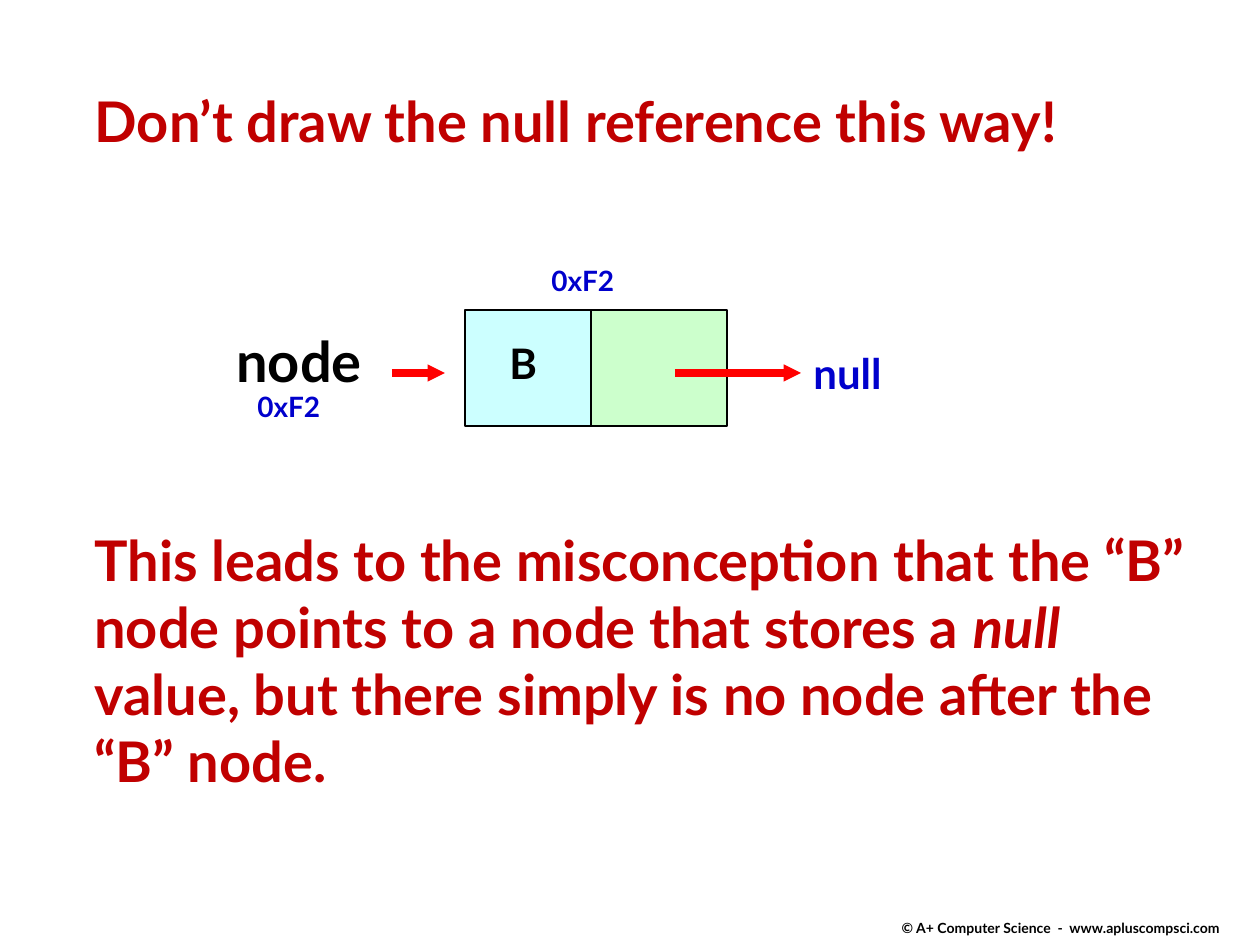
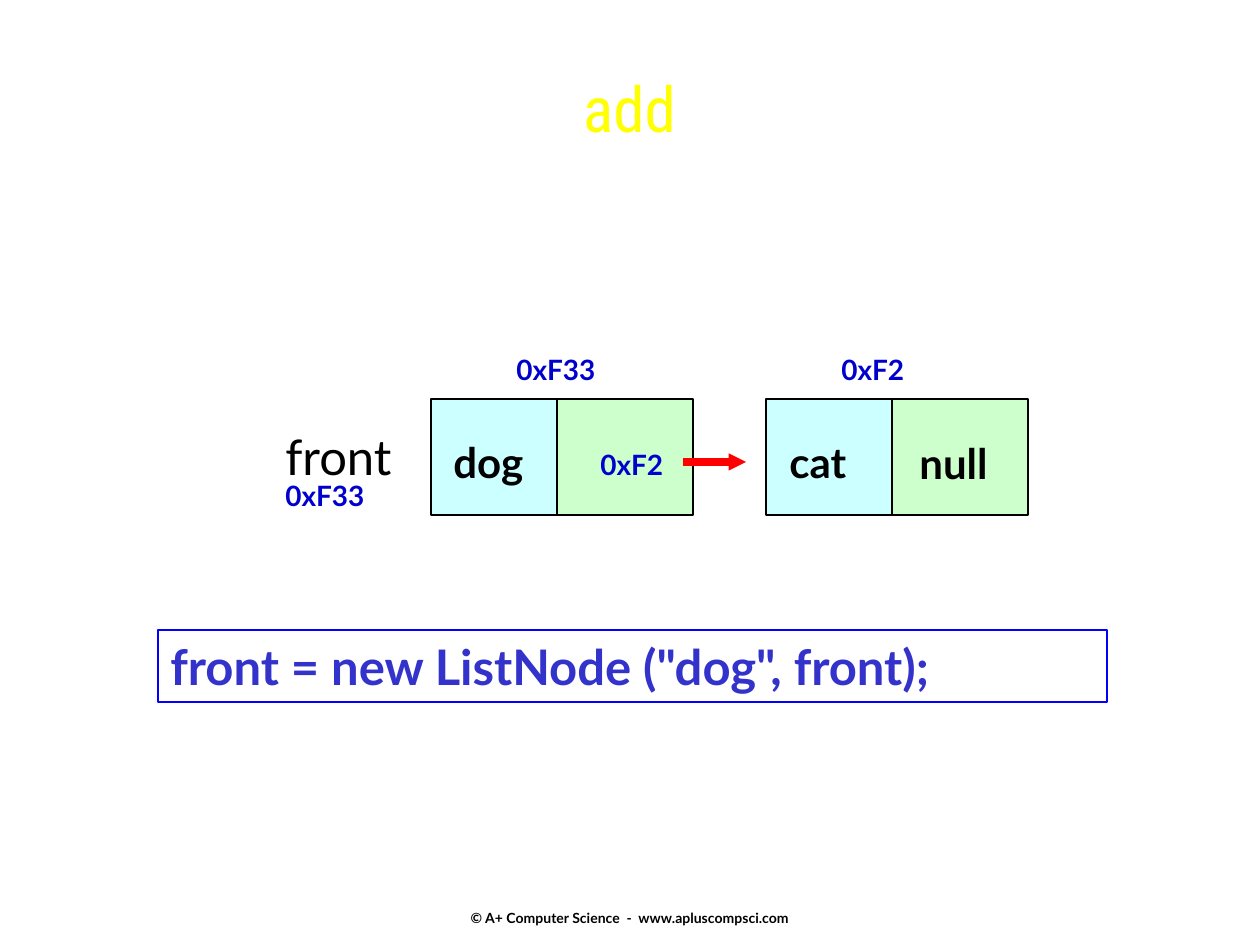
from dataclasses import dataclass

from lxml.etree import SubElement
from pptx import Presentation
from pptx.dml.color import RGBColor
from pptx.enum.shapes import MSO_CONNECTOR, MSO_SHAPE
from pptx.enum.text import MSO_ANCHOR, MSO_AUTO_SIZE, PP_ALIGN
from pptx.oxml.ns import qn
from pptx.util import Emu, Pt


@dataclass(frozen=True)
class Style:
    size: int
    color: str
    bold: bool = True
    font: str = "Lato"
    align: PP_ALIGN = PP_ALIGN.LEFT


@dataclass(frozen=True)
class Theme:
    background: str = "FFFFFF"
    value_fill: str = "CCFFFF"
    link_fill: str = "CCFFCC"
    outline: str = "000000"
    arrow: str = "FF0000"
    code_outline: str = "0000FF"
    outline_pt: int = 1
    arrow_pt: int = 5
    heading: Style = Style(32, "C00000")
    method: Style = Style(36, "FFFF00", False, "Roboto Condensed", PP_ALIGN.CENTER)
    value: Style = Style(24, "000000")
    null: Style = Style(24, "0000CC")
    address: Style = Style(16, "0000CC")
    variable: Style = Style(32, "000000")
    plain_variable: Style = Style(28, "000000", False)
    code: Style = Style(28, "3333CC")
    footer: Style = Style(8, "000000", align=PP_ALIGN.CENTER)


THEME = Theme()
PX_PER_INCH = 126
SLIDE_W, SLIDE_H = 1260, 945
NODE_W, NODE_H, VALUE_W = 262, 116, 126
FOOTER = "© A+ Computer Science  -  www.apluscompsci.com"
FOOTER_W, FOOTER_H = 400, 30

# Text boxes are (runs, style, (left, top, width, height)); a run is (text, italic).
# Labels are (text, style, left, top, width); arrows are (start x, end x, y).
SLIDES = [
    dict(
        title=("Don’t draw the null reference this way!", THEME.heading, (82, 80, 1149, 81)),
        nodes=[(465, 310)],
        arrows=[(392, 445, 373), (675, 801, 373)],
        labels=[
            ("B", THEME.value, 497, 331, 116),
            ("null", THEME.null, 801, 341, 136),
            ("node", THEME.variable, 224, 320, 179),
            ("0xF2", THEME.address, 245, 383, 136),
            ("0xF2", THEME.address, 539, 257, 136),
        ],
        body=(
            [
                ("This leads to the misconception that the “B” node points "
                 "to a node that stores a ", False),
                ("null", True),
                (" value, but there simply is no node after the “B” node.", False),
            ],
            THEME.heading,
            (82, 519, 1121, 285),
        ),
        footer=(861, 913),
    ),
    dict(
        title=("add", THEME.method, (178, 63, 903, 147)),
        nodes=[(431, 399), (766, 399)],
        arrows=[(683, 746, 462)],
        labels=[
            ("cat", THEME.value, 777, 430, 116),
            ("dog", THEME.value, 441, 430, 116),
            ("null", THEME.value, 907, 431, 136),
            ("front", THEME.plain_variable, 273, 420, 136),
            ("0xF2", THEME.address, 829, 346, 136),
            ("0xF2", THEME.address, 588, 441, 136),
            ("0xF33", THEME.address, 273, 472, 136),
            ("0xF33", THEME.address, 504, 346, 136),
        ],
        code=('front = new ListNode ("dog", front);', THEME.code, (158, 630, 949, 72)),
        footer=(430, 903),
    ),
]


def px(n):
    return Emu(round(n * 914400 / PX_PER_INCH))


def rgb(color):
    return RGBColor.from_string(color)


def write(shape, runs, style):
    tf = shape.text_frame
    tf.auto_size = MSO_AUTO_SIZE.NONE
    tf.word_wrap = True
    tf.vertical_anchor = MSO_ANCHOR.TOP
    p = tf.paragraphs[0]
    p.alignment = style.align
    for text, italic in runs:
        r = p.add_run()
        r.text = text
        r.font.name = style.font
        r.font.size = Pt(style.size)
        r.font.bold = style.bold
        r.font.italic = italic
        r.font.color.rgb = rgb(style.color)


def add_text(s, runs, style, box):
    write(s.shapes.add_textbox(*map(px, box)), runs, style)


def add_title(s, text, style, box):
    title = s.shapes.title
    title.left, title.top, title.width, title.height = map(px, box)
    write(title, [(text, False)], style)


def add_box(s, box, outline, fill=None):
    shape = s.shapes.add_shape(MSO_SHAPE.RECTANGLE, *map(px, box))
    shape.shadow.inherit = False
    if fill:
        shape.fill.solid()
        shape.fill.fore_color.rgb = rgb(fill)
    else:
        shape.fill.background()
    shape.line.color.rgb = rgb(outline)
    shape.line.width = Pt(THEME.outline_pt)
    return shape


def add_node(s, left, top):
    """Draw a list node: a value cell followed by a link cell."""
    add_box(s, (left, top, VALUE_W, NODE_H), THEME.outline, THEME.value_fill)
    add_box(s, (left + VALUE_W, top, NODE_W - VALUE_W, NODE_H),
            THEME.outline, THEME.link_fill)


def add_arrow(s, start, end, y):
    arrow = s.shapes.add_connector(
        MSO_CONNECTOR.STRAIGHT, px(start), px(y), px(end), px(y))
    arrow.line.color.rgb = rgb(THEME.arrow)
    arrow.line.width = Pt(THEME.arrow_pt)
    SubElement(arrow.line._get_or_add_ln(), qn("a:tailEnd"),
               type="triangle", w="sm", len="sm")
    SubElement(arrow._element.spPr, qn("a:effectLst"))


def build_slide(prs, content):
    s = prs.slides.add_slide(prs.slide_layouts.get_by_name("Title Only"))
    s.background.fill.solid()
    s.background.fill.fore_color.rgb = rgb(THEME.background)
    add_title(s, *content["title"])
    for node in content["nodes"]:
        add_node(s, *node)
    for arrow in content["arrows"]:
        add_arrow(s, *arrow)
    for text, style, left, top, width in content["labels"]:
        add_text(s, [(text, False)], style, (left, top, width, style.size * 2 + 15))
    if "body" in content:
        add_text(s, *content["body"])
    if "code" in content:
        text, style, box = content["code"]
        write(add_box(s, box, THEME.code_outline), [(text, False)], style)
    add_text(s, [(FOOTER, False)], THEME.footer,
             (*content["footer"], FOOTER_W, FOOTER_H))


def main():
    prs = Presentation()
    prs.slide_width, prs.slide_height = px(SLIDE_W), px(SLIDE_H)
    for content in SLIDES:
        build_slide(prs, content)
    prs.save("out.pptx")


if __name__ == "__main__":
    main()
